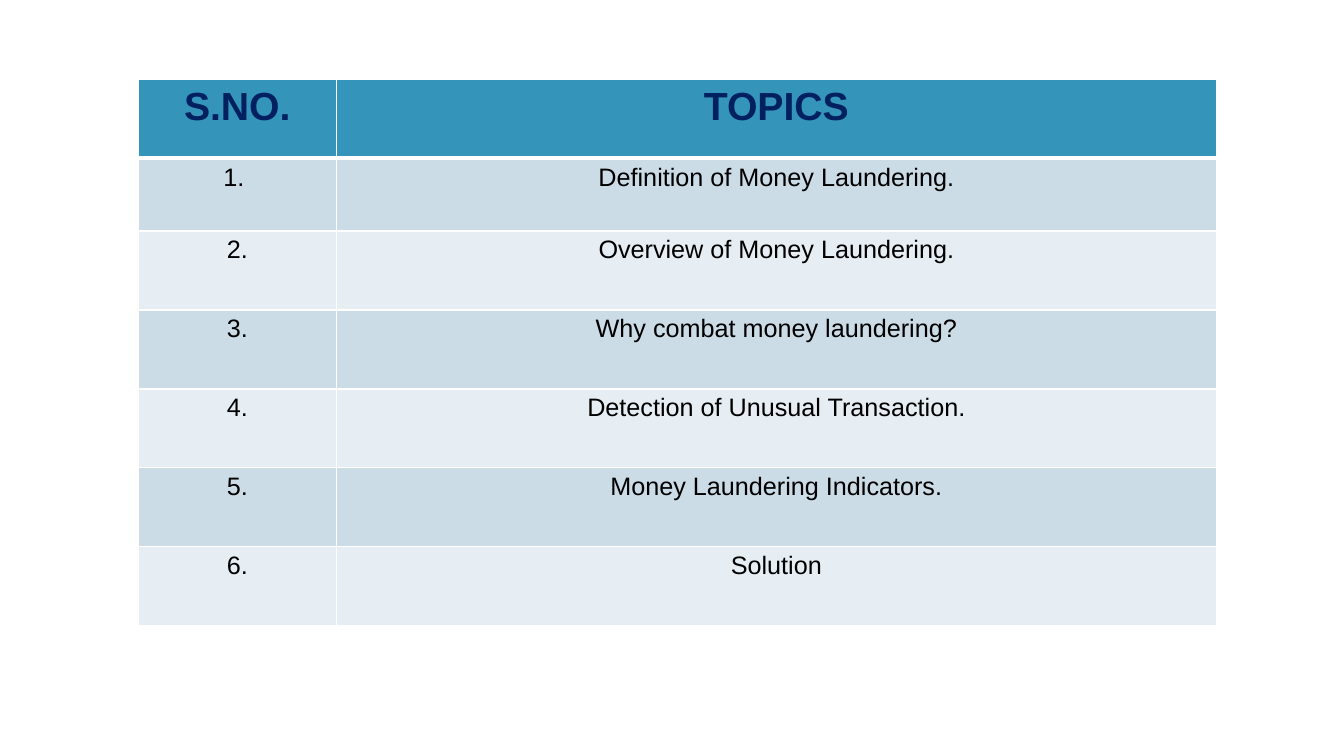
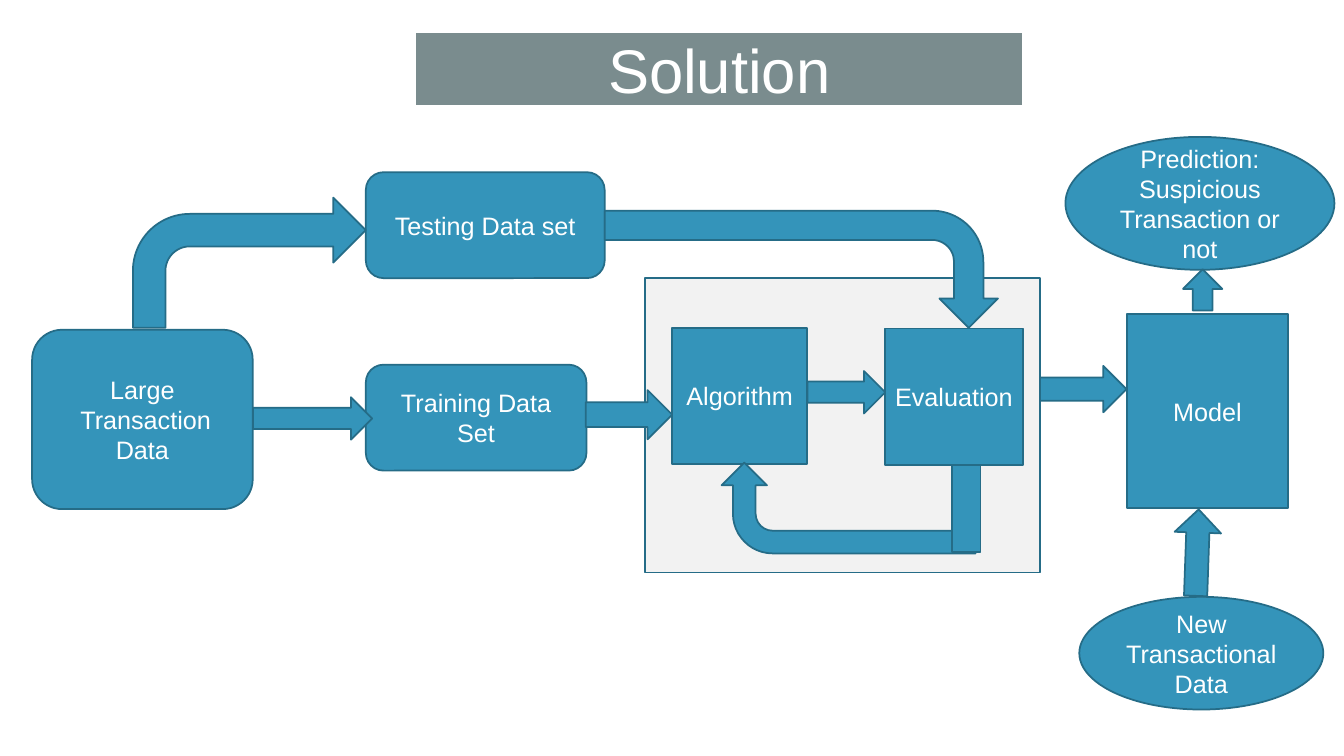
from lxml.etree import SubElement
from pptx import Presentation
from pptx.dml.color import RGBColor
from pptx.enum.shapes import MSO_SHAPE
from pptx.enum.text import MSO_ANCHOR, MSO_AUTO_SIZE, PP_ALIGN
from pptx.oxml.ns import qn
from pptx.util import Cm, Pt

COLOURS = {
    "accent": "3494BA", "outline": "256C87", "banner": "7A8C8E",
    "panel": "F2F2F2", "white": "FFFFFF", "black": "000000",
    "heading": "002060", "band_dark": "CCDCE6", "band_light": "E7EEF3",
}
TITLE_ONLY, BLANK = 5, 6


def colour(name):
    return RGBColor.from_string(COLOURS[name])


class Deck:
    font = "Arial"
    body_size = 18

    def __init__(self):
        self.presentation = Presentation()
        self.presentation.slide_width = Cm(33.87)
        self.presentation.slide_height = Cm(19.05)
        self.slide = None

    def new_slide(self, layout):
        layouts = self.presentation.slide_layouts
        self.slide = self.presentation.slides.add_slide(layouts[layout])

    def set_text(self, frame, text, ink, size=body_size, bold=False):
        frame.text = text
        for paragraph in frame.paragraphs:
            paragraph.alignment = PP_ALIGN.CENTER
            for run in paragraph.runs:
                run.font.name = self.font
                run.font.size = Pt(size)
                run.font.bold = bold
                run.font.color.rgb = colour(ink)

    def paint(self, shape, fill, line, width):
        shape.fill.solid()
        shape.fill.fore_color.rgb = colour(fill)
        shape.line.color.rgb = colour(line)
        shape.line.width = Pt(width)

    def title(self, text, left, top, width, height):
        """Turn the title placeholder into a rounded banner."""
        banner = self.slide.shapes.title
        banner.left, banner.top = Cm(left), Cm(top)
        banner.width, banner.height = Cm(width), Cm(height)
        outline = SubElement(banner.element.spPr, qn("a:prstGeom"), prst="roundRect")
        SubElement(outline, qn("a:avLst"))
        self.paint(banner, "banner", "white", 2)
        frame = banner.text_frame
        frame.auto_size = MSO_AUTO_SIZE.NONE
        frame.vertical_anchor = MSO_ANCHOR.MIDDLE
        self.set_text(frame, text, "white", 44)

    def block(self, kind, left, top, width, height, text="", fill="accent", rotation=0):
        shape = self.slide.shapes.add_shape(
            kind, Cm(left), Cm(top), Cm(width), Cm(height))
        shape.shadow.inherit = False
        shape.rotation = rotation
        self.paint(shape, fill, "outline", 1.25)
        if text:
            shape.text_frame.word_wrap = True
            shape.text_frame.vertical_anchor = MSO_ANCHOR.MIDDLE
            self.set_text(shape.text_frame, text, "white")

    def cell_borders(self, cell, bottom):
        """Add white borders; call before the fill is set."""
        properties = cell._tc.get_or_add_tcPr()
        for side, points in (("L", 1), ("R", 1), ("T", 1), ("B", bottom)):
            border = SubElement(properties, qn(f"a:ln{side}"), w=str(Pt(points)))
            ink = SubElement(border, qn("a:solidFill"))
            SubElement(ink, qn("a:srgbClr"), val=COLOURS["white"])

    def table(self, rows, left, top, widths, heights):
        table = self.slide.shapes.add_table(
            len(rows), len(widths), Cm(left), Cm(top),
            Cm(sum(widths)), Cm(sum(heights))).table
        for column, width in zip(table.columns, widths):
            column.width = Cm(width)
        for number, (row, height) in enumerate(zip(rows, heights)):
            table.rows[number].height = Cm(height)
            header = number == 0
            band = "band_dark" if number % 2 else "band_light"
            for position, text in enumerate(row):
                cell = table.cell(number, position)
                self.cell_borders(cell, 3 if header else 1)
                cell.fill.solid()
                cell.fill.fore_color.rgb = colour("accent" if header else band)
                if header:
                    self.set_text(cell.text_frame, text, "heading", 28, True)
                else:
                    self.set_text(cell.text_frame, text, "black")


def topics_slide(deck):
    deck.new_slide(BLANK)
    topics = [
        ("S.NO.", "TOPICS"),
        ("1. ", "Definition of Money Laundering."),
        ("2.", "Overview of Money Laundering."),
        ("3.", "Why combat money laundering?"),
        ("4.", "Detection of Unusual Transaction."),
        ("5.", "Money Laundering Indicators."),
        ("6.", "Solution"),
    ]
    deck.table(topics, 3.48, 2.01, [5, 22.17], [1.98, 1.83] + [1.99] * 5)


def solution_slide(deck):
    deck.new_slide(TITLE_ONLY)
    deck.title("Solution", 10.46, 0.79, 15.34, 1.9)

    rounded, square, oval = (
        MSO_SHAPE.ROUNDED_RECTANGLE, MSO_SHAPE.RECTANGLE, MSO_SHAPE.OVAL)
    stages = [
        (rounded, 0.81, 8.31, 5.56, 4.52, "Large\n Transaction Data"),
        (rounded, 9.22, 9.19, 5.56, 2.67, "Training Data Set"),
        (rounded, 9.22, 4.34, 6.02, 2.67, "Testing Data set"),
        (square, 16.26, 7.01, 9.96, 7.42, "", "panel"),
        (square, 16.94, 8.26, 3.4, 3.43, "Algorithm"),
        (square, 22.3, 8.28, 3.48, 3.43, "Evaluation"),
        (square, 28.4, 7.92, 4.06, 4.88, "Model"),
        (oval, 27.2, 15.04, 6.15, 2.84, "New Transactional Data"),
        (oval, 26.85, 3.45, 6.78, 3.35,
         "Prediction:\nSuspicious Transaction or not"),
    ]
    for stage in stages:
        deck.block(*stage)

    straight, bent = MSO_SHAPE.RIGHT_ARROW, MSO_SHAPE.BENT_ARROW
    flows = [
        (straight, 6.38, 10.01, 3, 1.07, 0),
        (straight, 14.76, 9.83, 2.18, 1.24, 0),
        (bent, 3.35, 4.98, 5.87, 3.28, 0),
        (bent, 18.72, 1.83, 2.95, 9.91, 90),
        (straight, 20.35, 9.35, 1.96, 1.07, 0),
        (straight, 26.21, 9.22, 2.18, 1.17, 0),
        (straight, 29.79, 6.81, 1.04, 0.99, 270),
        (straight, 29.08, 13.34, 2.18, 1.17, 272),
        (bent, 20.24, 9.6, 2.29, 6.4, 270),
        (square, 24, 11.73, 0.71, 2.18, 0),
    ]
    for *place, rotation in flows:
        deck.block(*place, rotation=rotation)


def main():
    deck = Deck()
    topics_slide(deck)
    solution_slide(deck)
    deck.presentation.save("out.pptx")


if __name__ == "__main__":
    main()
